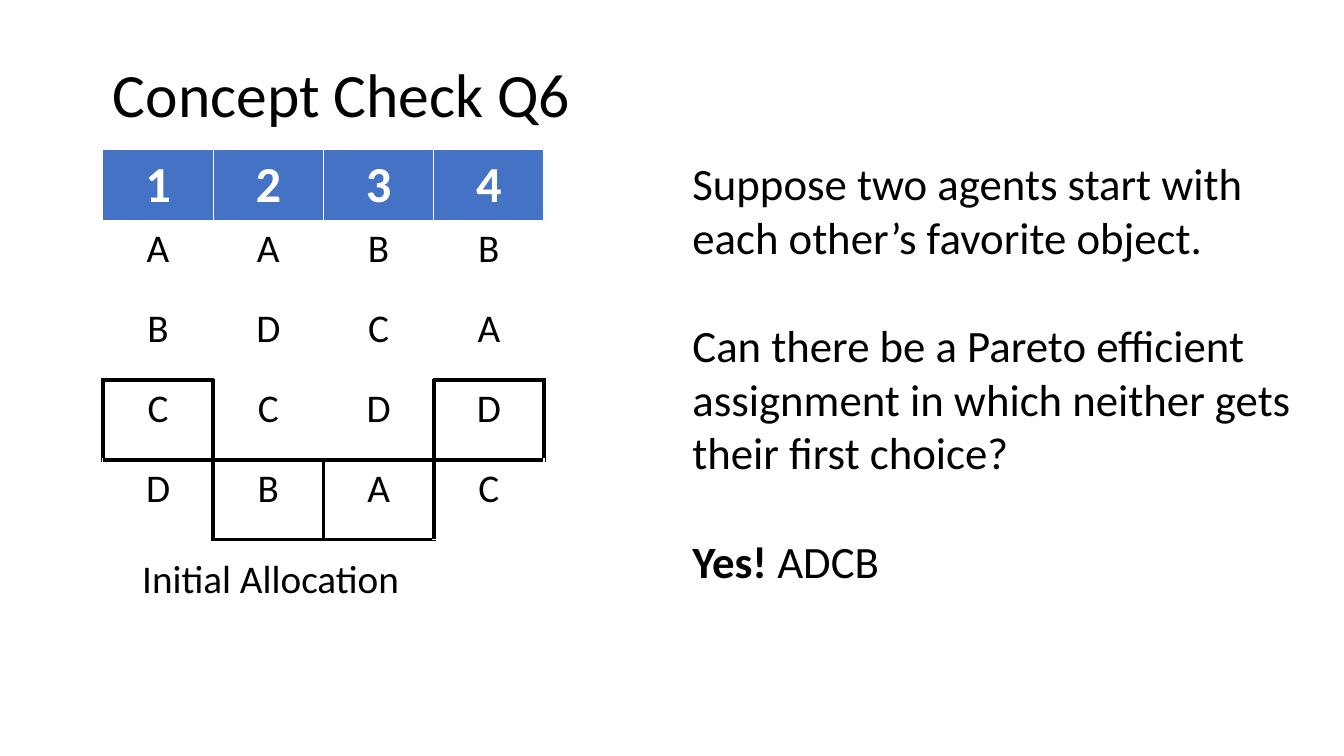
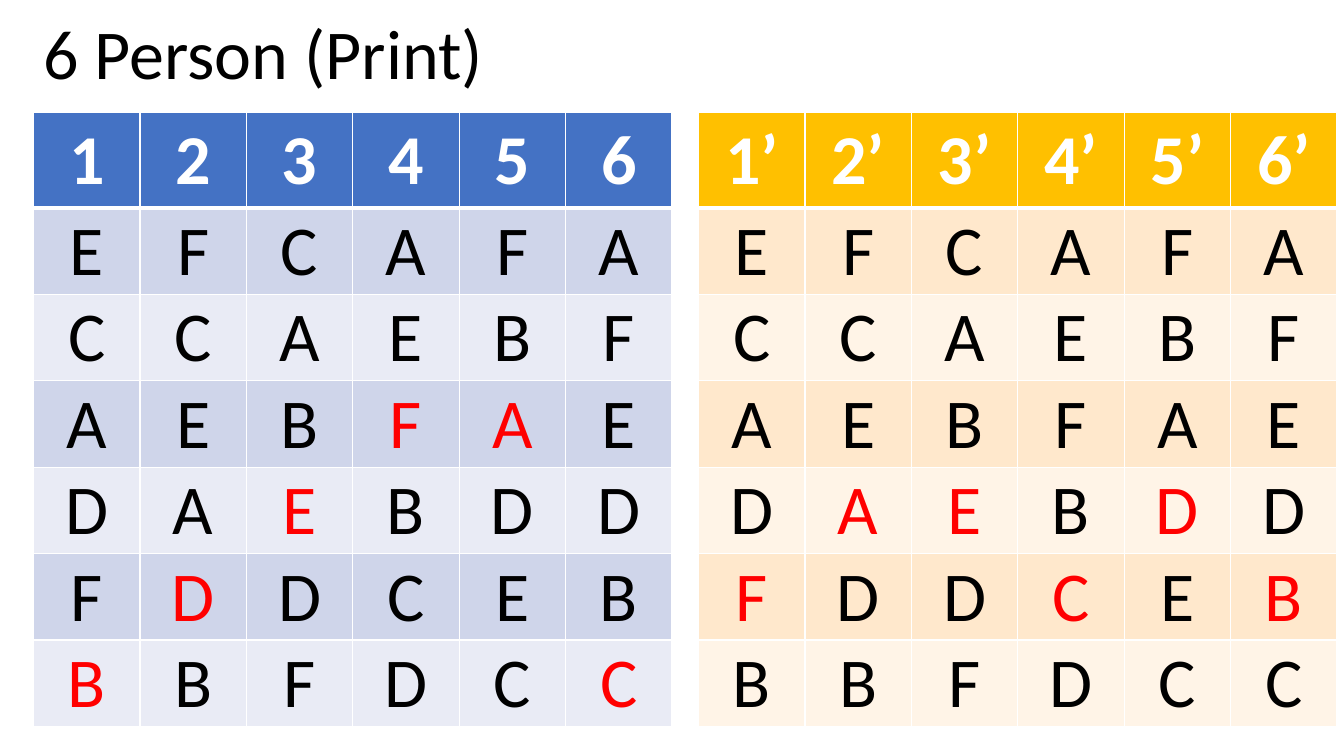
from lxml.etree import SubElement
from pptx import Presentation
from pptx.dml.color import RGBColor
from pptx.enum.text import MSO_ANCHOR, PP_ALIGN
from pptx.oxml.ns import qn
from pptx.util import Pt

BLACK, WHITE, RED = "000000", "FFFFFF", "FF0000"
BLUE, GOLD = "4472C4", "FFC000"
BLUE_BANDS = ("CFD5EA", "E9EBF5")
GOLD_BANDS = ("FFE8CC", "FFF4E7")
SIDES = {"lnL": (0, -1), "lnR": (0, 1), "lnT": (-1, 0), "lnB": (1, 0)}


def rgb(value):
    """Turn a hex string into a colour."""
    return RGBColor.from_string(value)


class Deck:
    """Hold the shared style and the current slide."""

    font = "Calibri"

    def __init__(self):
        """Start a wide presentation."""
        self.prs = Presentation()
        self.prs.slide_width, self.prs.slide_height = Pt(960), Pt(540)

    def slide(self):
        """Add a blank slide and make it current."""
        self.s = self.prs.slides.add_slide(self.prs.slide_layouts[6])

    def run(self, p, text, size, color=BLACK, bold=False):
        """Add one styled run to a paragraph."""
        r = p.add_run()
        r.text = text
        r.font.name, r.font.size, r.font.bold = self.font, Pt(size), bold
        r.font.color.rgb = rgb(color)

    def text(self, box, paragraphs, size, gap=0):
        """Add a text box from paragraphs of (text, bold) runs."""
        sp = self.s.shapes.add_textbox(*map(Pt, box))
        tf = sp.text_frame
        tf.word_wrap = True
        for i, runs in enumerate(paragraphs):
            p = tf.add_paragraph() if i else tf.paragraphs[0]
            if i:
                p.space_before = Pt(gap)
            for text, bold in runs:
                self.run(p, text, size, bold=bold)
        return tf

    def title(self, box, text, size):
        """Add a slide title, centred vertically in its box."""
        tf = self.text(box, [[(text, False)]], size)
        tf.vertical_anchor = MSO_ANCHOR.MIDDLE
        tf.paragraphs[0].line_spacing = 0.9

    def border(self, cell, side, color, width):
        """Draw one edge of a table cell."""
        ln = SubElement(cell._tc.get_or_add_tcPr(), qn(f"a:{side}"), w=str(Pt(width)))
        fill = SubElement(ln, qn("a:solidFill"))
        SubElement(fill, qn("a:srgbClr"), val=color)

    def table(self, left, top, col_width, row_heights, sizes, agents, ranks,
              assigned, header_fill, bands=None):
        """Add a preference table that marks the object assigned to each agent."""
        rows = [agents, *ranks]
        head_height, body_height = row_heights
        heights = [head_height] + [body_height] * len(ranks)
        frame = self.s.shapes.add_table(
            len(rows), len(agents), Pt(left), Pt(top),
            Pt(col_width * len(agents)), Pt(sum(heights)))
        tbl = frame.table
        tbl.first_row = tbl.horz_banding = False
        for col in tbl.columns:
            col.width = Pt(col_width)
        for row, height in zip(tbl.rows, heights):
            row.height = Pt(height)
        marked = {(i, j) for i, rank in enumerate(ranks, 1)
                  for j, name in enumerate(rank) if name == assigned[j]}
        for i, row in enumerate(rows):
            for j, name in enumerate(row):
                cell = tbl.cell(i, j)
                for side, (di, dj) in SIDES.items():
                    boxed = not bands and marked & {(i, j), (i + di, j + dj)}
                    under_head = bands and (i, side) in ((0, "lnB"), (1, "lnT"))
                    self.border(cell, side, BLACK if boxed else WHITE,
                                3 if boxed or under_head else 1)
                if i and not bands:
                    cell.fill.background()
                else:
                    cell.fill.solid()
                    cell.fill.fore_color.rgb = rgb(bands[(i - 1) % 2] if i else header_fill)
                if i and bands:
                    cell.vertical_anchor = MSO_ANCHOR.BOTTOM
                    cell.margin_left = cell.margin_right = cell.margin_top = Pt(0.72)
                    cell.margin_bottom = Pt(0)
                p = cell.text_frame.paragraphs[0]
                p.alignment = PP_ALIGN.CENTER
                color = RED if bands and (i, j) in marked else BLACK
                self.run(p, name, sizes[min(i, 1)], color if i else WHITE, bold=i == 0)


def concept_check(deck):
    """Build the question with four agents."""
    deck.slide()
    deck.title((73.5, 17.5, 828, 104), "Concept Check Q6", 44)
    deck.table(73.5, 106.5, 78.8, (51, 57), (36, 28), "1234",
               ["AABB", "BDCA", "CCDD", "DBAC"], "CBAD", BLUE)
    deck.text((94.5, 392.5, 294, 41), [[("Initial Allocation", False)]], 28)
    deck.text((487.5, 107.5, 443.5, 317.5), [
        [("Suppose two agents start with each other’s favorite object.", False)],
        [("Can there be a Pareto efficient assignment in which neither gets "
          "their first choice?", False)],
        [("Yes! ", True), ("ADCB", False)],
    ], 32, gap=39)


def six_person(deck):
    """Build the two assignments for six agents."""
    deck.slide()
    deck.title((24, -11.5, 355, 104), "6 Person (Print)", 50)
    ranks = ["EFCAFA", "CCAEBF", "AEBFAE", "DAEBDD", "FDDCEB", "BBFDCC"]
    agents = list("123456")
    primed = [f"{name}’" for name in agents]
    for left, names, assigned, fill, bands in (
            (24, agents, "BDEFAC", BLUE, BLUE_BANDS),
            (499, primed, "FAECDB", GOLD, GOLD_BANDS)):
        deck.table(left, 80.5, 76, (68, 61.75), (50, 50), names, ranks,
                   assigned, fill, bands)


def main():
    """Build and save the slides."""
    deck = Deck()
    concept_check(deck)
    six_person(deck)
    deck.prs.save("out.pptx")


if __name__ == "__main__":
    main()
